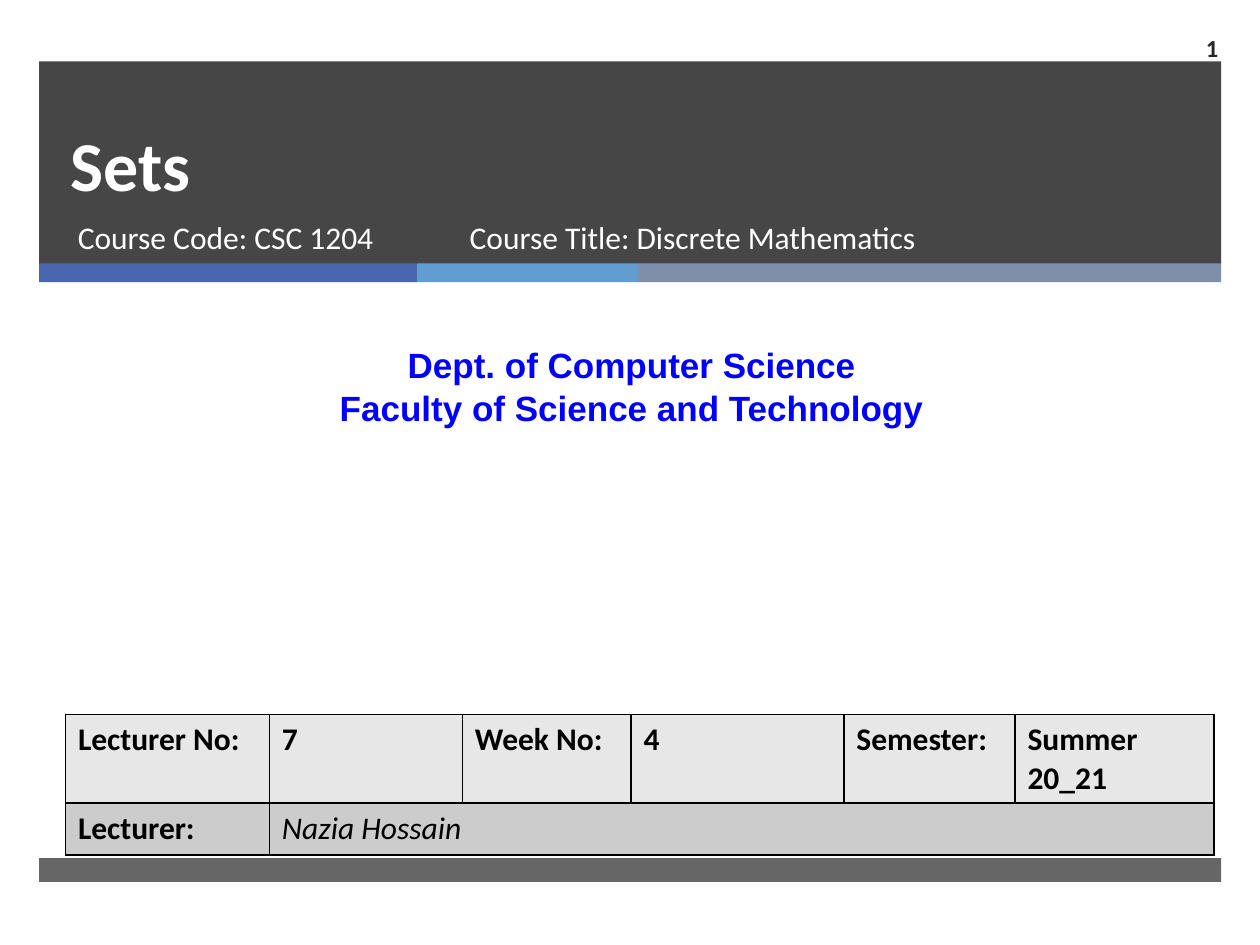
from dataclasses import dataclass

from lxml.etree import SubElement
from pptx import Presentation
from pptx.dml.color import RGBColor
from pptx.enum.shapes import MSO_SHAPE
from pptx.enum.text import MSO_ANCHOR, PP_ALIGN
from pptx.oxml.ns import qn
from pptx.slide import Slide
from pptx.table import _Cell
from pptx.text.text import TextFrame
from pptx.util import Cm, Pt

WHITE = RGBColor(0xFF, 0xFF, 0xFF)
BLACK = RGBColor(0x00, 0x00, 0x00)
CHARCOAL = RGBColor(0x26, 0x26, 0x26)
INDIGO = RGBColor(0x4A, 0x66, 0xAC)
SKY = RGBColor(0x62, 0x9D, 0xD1)
SLATE = RGBColor(0x7F, 0x8F, 0xA9)
BLUE = RGBColor(0x00, 0x00, 0xFF)
LIGHT_GREY = RGBColor(0xE7, 0xE7, 0xE7)
MID_GREY = RGBColor(0xCC, 0xCC, 0xCC)


@dataclass
class Band:
    """A plain rectangle; lengths in centimetres, opacity in percent."""
    left: float
    top: float
    width: float
    height: float
    color: RGBColor
    opacity: int = 100


@dataclass
class Label:
    """A text box; lengths in centimetres, size and line spacing in points."""
    text: str
    left: float
    top: float
    width: float
    height: float
    size: int = 18
    color: RGBColor = WHITE
    font: str = "Calibri"
    bold: bool = False
    align: PP_ALIGN = PP_ALIGN.LEFT
    anchor: MSO_ANCHOR = MSO_ANCHOR.TOP
    line_spacing: int | None = None


BANDS = [
    Band(0.79, 1.24, 23.83, 4.09, CHARCOAL, 85),
    Band(0.79, 5.31, 7.62, 0.38, INDIGO),
    Band(8.41, 5.31, 4.45, 0.38, SKY),
    Band(12.86, 5.31, 11.76, 0.38, SLATE),
    Band(0.79, 17.3, 23.83, 0.48, CHARCOAL, 70),
]

LABELS = [
    Label("Sets", 1.17, 1.24, 21.69, 3.02, size=40, bold=True,
          anchor=MSO_ANCHOR.BOTTOM, line_spacing=46),
    Label("Course Code: CSC 1204", 1.32, 4.27, 7.75, 1.35),
    Label("Course Title: Discrete Mathematics", 9.22, 4.27, 11.56, 1.35),
    Label("Dept. of Computer Science\nFaculty of Science and Technology",
          0.2, 6.81, 25.07, 1.96, size=20, color=BLUE, font="Arial",
          bold=True, align=PP_ALIGN.CENTER),
    Label("1", 23.06, 0.46, 1.75, 0.99, size=14, color=CHARCOAL, bold=True,
          align=PP_ALIGN.RIGHT, anchor=MSO_ANCHOR.MIDDLE),
]

COLUMN_WIDTHS = [4.11, 3.89, 3.4, 4.29, 3.45, 4.01]
ROW_HEIGHTS = [1.79, 1.05]
ROW_FILLS = [LIGHT_GREY, MID_GREY]
ROW_TEXTS = [
    ["Lecturer No:", "7", "Week No:", "4", "Semester:", "Summer 20_21"],
    ["Lecturer:", "Nazia Hossain"],
]


def format_runs(text_frame: TextFrame, font: str, size: int, color: RGBColor,
                bold: bool, italic: bool = False) -> None:
    for paragraph in text_frame.paragraphs:
        for run in paragraph.runs:
            run.font.name = font
            run.font.size = Pt(size)
            run.font.color.rgb = color
            run.font.bold = bold
            run.font.italic = italic


def draw_band(slide: Slide, band: Band) -> None:
    shape = slide.shapes.add_shape(
        MSO_SHAPE.RECTANGLE, Cm(band.left), Cm(band.top), Cm(band.width), Cm(band.height))
    shape.shadow.inherit = False
    shape.line.fill.background()
    shape.fill.solid()
    shape.fill.fore_color.rgb = band.color
    if band.opacity < 100:
        color = shape._element.spPr.find(qn("a:solidFill"))[0]
        SubElement(color, qn("a:alpha"), val=str(band.opacity * 1000))


def draw_label(slide: Slide, label: Label) -> None:
    shape = slide.shapes.add_textbox(
        Cm(label.left), Cm(label.top), Cm(label.width), Cm(label.height))
    text_frame = shape.text_frame
    text_frame.word_wrap = True
    text_frame.vertical_anchor = label.anchor
    text_frame.text = label.text
    for paragraph in text_frame.paragraphs:
        paragraph.alignment = label.align
        if label.line_spacing:
            paragraph.line_spacing = Pt(label.line_spacing)
    format_runs(text_frame, label.font, label.size, label.color, label.bold)


def style_cell(cell: _Cell, fill: RGBColor) -> None:
    properties = cell._tc.get_or_add_tcPr()
    for side in ("a:lnL", "a:lnR", "a:lnT", "a:lnB"):
        line = SubElement(properties, qn(side), w=str(Pt(1)))
        line_fill = SubElement(line, qn("a:solidFill"))
        SubElement(line_fill, qn("a:srgbClr"), val=str(BLACK))
    cell.fill.solid()
    cell.fill.fore_color.rgb = fill


def draw_lecture_table(slide: Slide) -> None:
    table = slide.shapes.add_table(
        len(ROW_HEIGHTS), len(COLUMN_WIDTHS), Cm(1.32), Cm(14.4),
        Cm(sum(COLUMN_WIDTHS)), Cm(sum(ROW_HEIGHTS))).table
    for column, width in zip(table.columns, COLUMN_WIDTHS):
        column.width = Cm(width)
    for row, height, fill, texts in zip(table.rows, ROW_HEIGHTS, ROW_FILLS, ROW_TEXTS):
        row.height = Cm(height)
        for cell in row.cells:
            style_cell(cell, fill)
        for cell, text in zip(row.cells, texts):
            cell.text_frame.text = text
            format_runs(cell.text_frame, "Calibri", 18, BLACK, bold=True)

    # The lecturer's name spans the rest of its row
    name_cell = table.cell(1, 1)
    name_cell.merge(table.cell(1, len(COLUMN_WIDTHS) - 1))
    format_runs(name_cell.text_frame, "Calibri", 18, BLACK, bold=False, italic=True)


def main() -> None:
    presentation = Presentation()
    presentation.slide_width = Cm(25.4)
    presentation.slide_height = Cm(19.05)
    slide = presentation.slides.add_slide(presentation.slide_layouts[6])

    # Header, colour strip and footer
    for band in BANDS:
        draw_band(slide, band)

    # Titles, department and slide number
    for label in LABELS:
        draw_label(slide, label)

    # Lecture details
    draw_lecture_table(slide)

    presentation.save("out.pptx")


if __name__ == "__main__":
    main()
